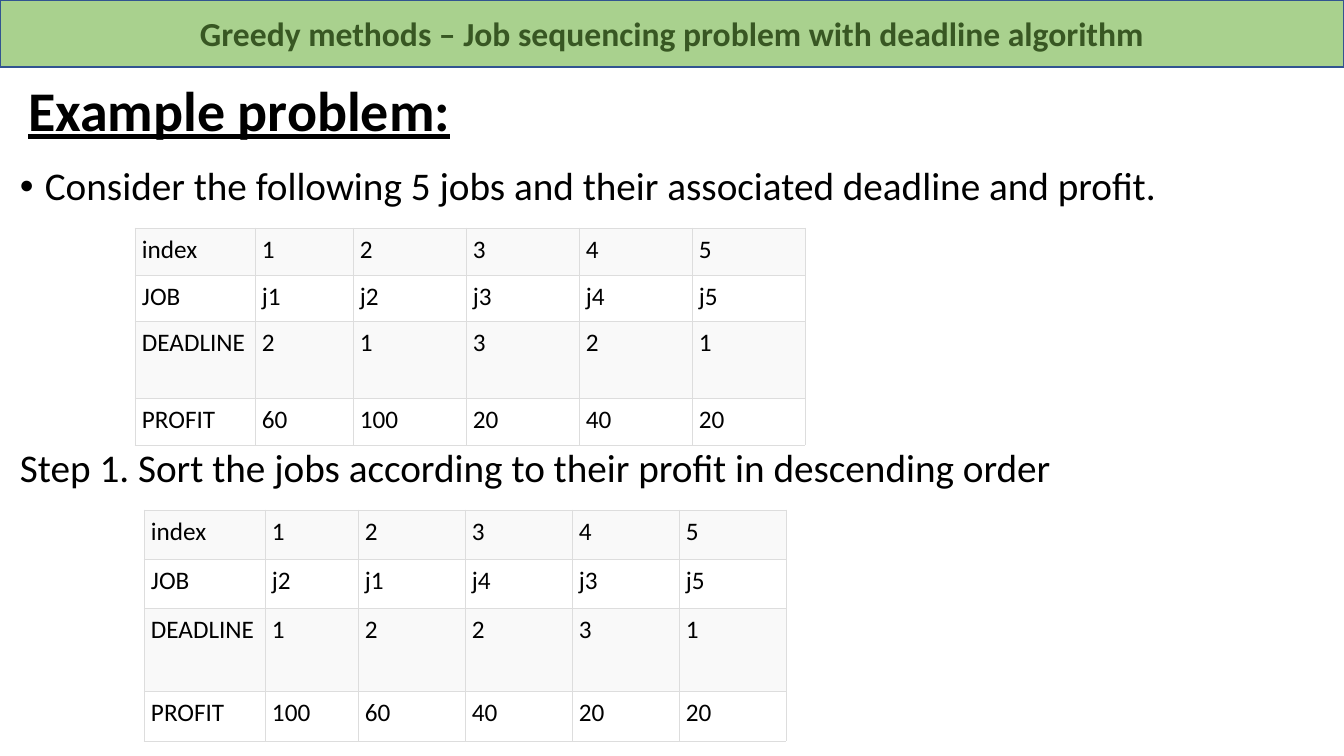
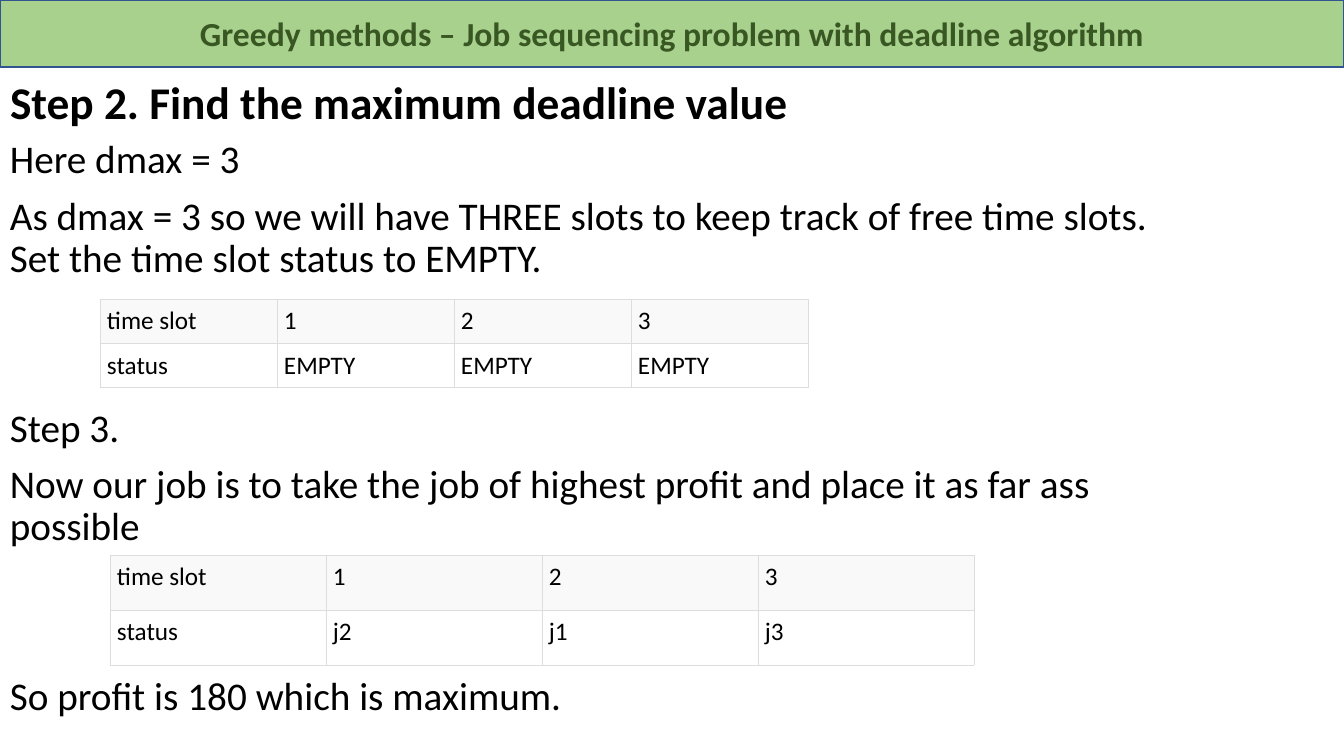
from lxml import etree
from pptx import Presentation
from pptx.dml.color import RGBColor
from pptx.enum import shapes, text
from pptx.oxml import ns
from pptx import util as u

PX = 914400 / 100.8
W, H = 1344, 756
FONT = "Calibri"
COLORS = {
    "text": "000000",
    "band": "A9D18E",
    "band_line": "325491",
    "band_text": "385723",
    "odd_row": "F9F9F9",
    "even_row": "FFFFFF",
    "border": "DDDDDD",
}
BAND_TEXT = "Greedy methods – Job sequencing problem with deadline algorithm"


def px(n):
    """Turn pixels into EMU."""
    return u.Emu(round(n * PX))


def rgb(name):
    """Look up a named colour."""
    return RGBColor.from_string(COLORS[name])


def write(p, words, size=28, color="text", bold=False, underline=False,
          align=text.PP_ALIGN.LEFT, spacing=0.9, before=0, bullet=False):
    """Fill and format one paragraph."""
    p.alignment = align
    p.line_spacing = spacing
    p.space_before = u.Pt(before)
    if bullet:
        pPr = p._p.get_or_add_pPr()
        pPr.set("marL", str(px(25)))
        pPr.set("indent", str(-px(25)))
        etree.SubElement(pPr, ns.qn("a:buFont")).set("typeface", "Arial")
        etree.SubElement(pPr, ns.qn("a:buChar")).set("char", "•")
    r = p.add_run()
    r.text = words
    r.font.name = FONT
    r.font.size = u.Pt(size)
    r.font.bold = bold
    r.font.underline = underline
    r.font.color.rgb = rgb(color)


def add_title(s, words, box, **fmt):
    """Place and format the title placeholder."""
    sp = s.shapes.title
    sp.left, sp.top, sp.width, sp.height = map(px, box)
    tf = sp.text_frame
    tf.auto_size = text.MSO_AUTO_SIZE.NONE
    tf.vertical_anchor = text.MSO_ANCHOR.MIDDLE
    write(tf.paragraphs[0], words, bold=True, **fmt)


def add_body(s, box, paragraphs):
    """Add the running text; each paragraph is (words, format)."""
    tf = s.shapes.add_textbox(*map(px, box)).text_frame
    tf.word_wrap = True
    for i, (words, fmt) in enumerate(paragraphs):
        p = tf.add_paragraph() if i else tf.paragraphs[0]
        write(p, words, **fmt)


def add_border(cell):
    """Draw a thin line on all four sides of a cell."""
    tcPr = cell._tc.get_or_add_tcPr()
    for side in ("a:lnL", "a:lnR", "a:lnT", "a:lnB"):
        ln = etree.SubElement(tcPr, ns.qn(side), w=str(u.Pt(0.6)))
        fill = etree.SubElement(ln, ns.qn("a:solidFill"))
        etree.SubElement(fill, ns.qn("a:srgbClr"), val=COLORS["border"])


def add_grid(s, left, top, widths, heights, rows):
    """Add a table with alternating row fills."""
    table = s.shapes.add_table(
        len(rows), len(widths), px(left), px(top),
        px(sum(widths)), px(sum(heights))).table
    table.first_row = table.horz_banding = False
    for col, width in zip(table.columns, widths):
        col.width = px(width)
    for i, (row, height) in enumerate(zip(rows, heights)):
        table.rows[i].height = px(height)
        for j, words in enumerate(row):
            cell = table.cell(i, j)
            cell.margin_left = cell.margin_right = px(7)
            cell.margin_top = cell.margin_bottom = px(7)
            add_border(cell)
            cell.fill.solid()
            cell.fill.fore_color.rgb = rgb("even_row" if i % 2 else "odd_row")
            write(cell.text_frame.paragraphs[0], words, size=18, spacing=1)


def add_band(s):
    """Add the course band across the top."""
    sp = s.shapes.add_shape(shapes.MSO_SHAPE.RECTANGLE, 0, 0, px(W), px(67))
    sp.shadow.inherit = False
    sp.fill.solid()
    sp.fill.fore_color.rgb = rgb("band")
    sp.line.color.rgb = rgb("band_line")
    sp.line.width = u.Pt(1)
    tf = sp.text_frame
    tf.word_wrap = True
    tf.vertical_anchor = text.MSO_ANCHOR.MIDDLE
    write(tf.paragraphs[0], BAND_TEXT, size=24, color="band_text", bold=True,
          align=text.PP_ALIGN.CENTER, spacing=1)


def job_rows(jobs, deadlines, profits):
    """Label the rows of a job table."""
    return [["index", *"12345"], ["JOB", *jobs.split()],
            ["DEADLINE", *deadlines.split()], ["PROFIT", *profits.split()]]


def slot_rows(*status):
    """Label the rows of a time slot table."""
    return [["time slot", *"123"], ["status", *status]]


def example_slide(s):
    """The jobs, as given and sorted by profit."""
    add_title(s, "Example problem:", (18, 40, 1234, 146), size=40,
              underline=True)
    add_body(s, (10, 162, 1176, 594), [
        ("Consider the following 5 jobs and their associated deadline and "
         "profit.", {"bullet": True}),
        ("Step 1. Sort the jobs according to their profit in descending "
         "order", {"before": 171}),
    ])
    add_grid(s, 135, 228, [120, 98] + [113] * 4, [47, 46, 77, 47],
             job_rows("j1 j2 j3 j4 j5", "2 1 3 2 1", "60 100 20 40 20"))
    add_grid(s, 144, 510, [121, 93] + [107] * 4, [49, 49, 83, 50],
             job_rows("j2 j1 j4 j3 j5", "1 2 2 3 1", "100 60 40 20 20"))


def slots_slide(s):
    """The time slots, empty and filled."""
    add_title(s, "Step 2. Find the maximum deadline value",
              (0, 56, 1252, 97), size=32.4)
    after_table = {"before": 91}
    add_body(s, (0, 135, 1195, 621), [
        ("Here dmax = 3", {}),
        ("As dmax = 3 so we will have THREE slots to keep track of free time "
         "slots. Set the time slot status to EMPTY.", {"before": 10}),
        ("Step 3.", after_table),
        ("Now our job is to take the job of highest profit and place it as "
         "far ass possible", {"before": 10}),
        ("So profit is 180 which is maximum.", after_table),
    ])
    add_grid(s, 100, 299, [177] * 4, [44] * 2, slot_rows(*["EMPTY"] * 3))
    add_grid(s, 110, 555, [216] * 4, [55] * 2, slot_rows("j2", "j1", "j3"))


def main():
    """Build and save the slides."""
    prs = Presentation()
    prs.slide_width, prs.slide_height = px(W), px(H)
    for build in (example_slide, slots_slide):
        s = prs.slides.add_slide(prs.slide_layouts[5])
        build(s)
        add_band(s)
    prs.save("out.pptx")


main()
